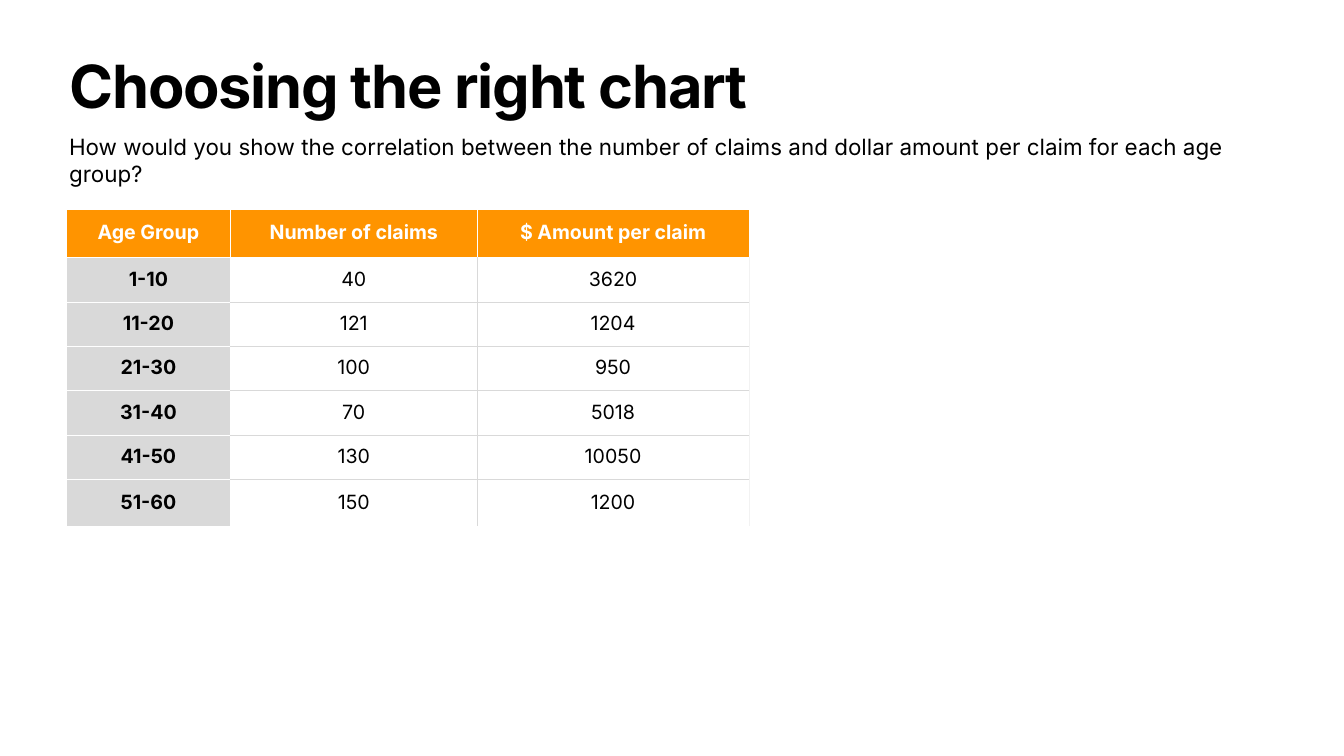
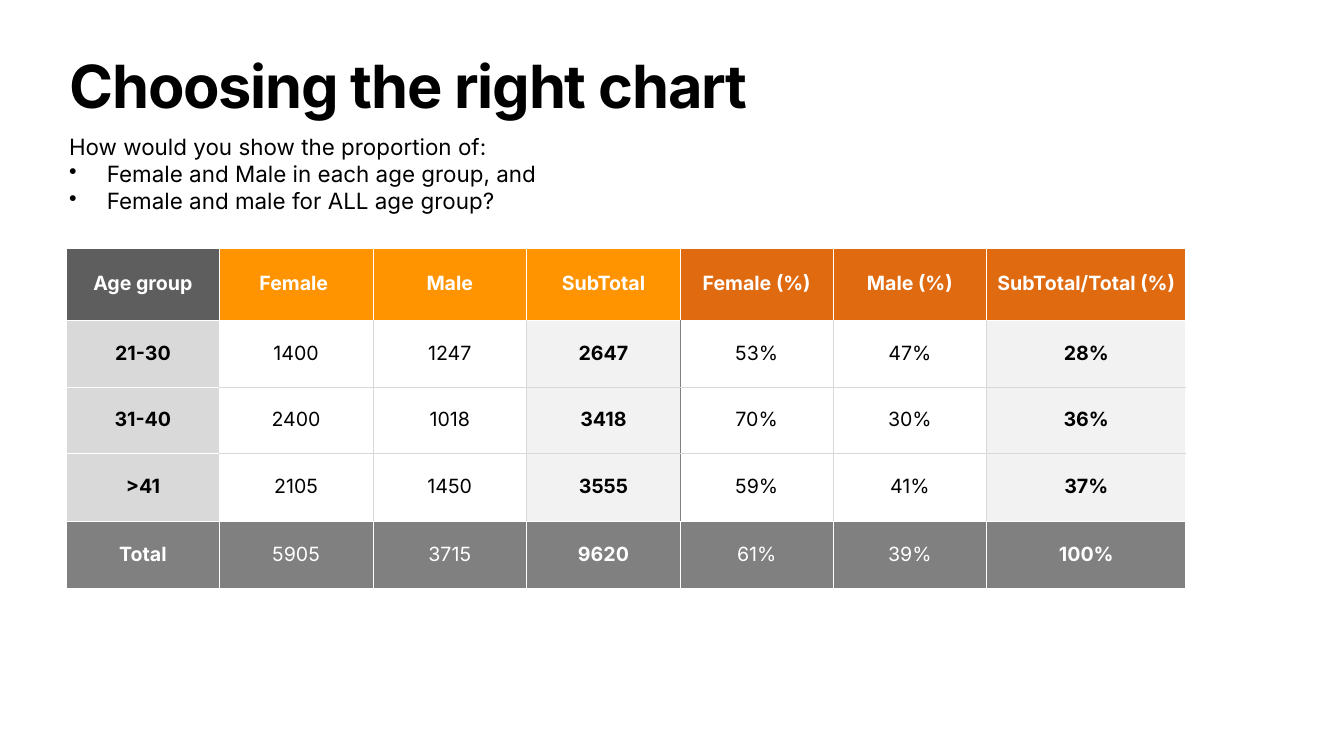
from dataclasses import dataclass

from lxml.etree import SubElement
from pptx import Presentation
from pptx.dml.color import RGBColor
from pptx.enum.text import MSO_ANCHOR, PP_ALIGN
from pptx.oxml.ns import qn
from pptx.util import Inches, Pt


@dataclass(frozen=True)
class Theme:
    """Colours and type sizes shared by the slides."""
    font: str = "Inter"
    black: str = "000000"
    white: str = "FFFFFF"
    orange: str = "FF9400"
    dark_orange: str = "DF6A10"
    charcoal: str = "5E5E5E"
    gray: str = "808080"
    light_gray: str = "D9D9D9"
    pale_gray: str = "F2F2F2"
    title_size: int = 85
    body_size: int = 32
    cell_size: int = 28


THEME = Theme()
LEFT, TEXT_WIDTH = 1.32, 24.03


@dataclass
class TableDesign:
    """What sets one table apart from another."""
    column_widths: list
    row_heights: list
    header_fills: list
    body_fill: str = None
    subtotal_columns: tuple = ()
    divider_column: int = None
    has_total: bool = False
    right_edge: str = THEME.white


def style_font(paragraph, size, color=THEME.black, bold=False):
    """Set the font of a whole paragraph."""
    font = paragraph.font
    font.name, font.size, font.bold = THEME.font, Pt(size), bold
    font.color.rgb = RGBColor.from_string(color)


def set_margins(target, margin):
    """Give a text frame or a cell the same margin on all sides."""
    target.margin_left = target.margin_right = Inches(margin)
    target.margin_top = target.margin_bottom = Inches(margin)


def add_text_frame(slide, box, margin):
    """Add a wrapping text box and return its text frame."""
    frame = slide.shapes.add_textbox(*map(Inches, box)).text_frame
    frame.word_wrap = True
    frame.vertical_anchor = MSO_ANCHOR.TOP
    set_margins(frame, margin)
    return frame


def add_title(slide, box, text):
    """Add the large, tightly spaced slide title."""
    paragraph = add_text_frame(slide, box, 0.06).paragraphs[0]
    paragraph.line_spacing = 0.8
    style_font(paragraph, THEME.title_size, bold=True)
    run = paragraph.add_run()
    run.text = text
    run.font._element.set("spc", "-170")


def add_question(slide, box, lead, bullets=()):
    """Add the question under the title, with any bullets."""
    frame = add_text_frame(slide, box, 0.05)
    frame.text = lead
    style_font(frame.paragraphs[0], THEME.body_size)
    for text in bullets:
        paragraph = frame.add_paragraph()
        paragraph.text = text
        properties = paragraph._p.get_or_add_pPr()
        properties.set("marL", str(Inches(0.75)))
        properties.set("indent", str(-Inches(0.75)))
        SubElement(properties, qn("a:buChar")).set("char", "•")
        style_font(paragraph, THEME.body_size)


def set_borders(cell, colors):
    """Draw one-point borders in the order left, right, top, bottom."""
    properties = cell._tc.get_or_add_tcPr()
    for side, color in zip("LRTB", colors):
        line = SubElement(properties, qn(f"a:ln{side}"), w=str(Pt(1)))
        fill = SubElement(line, qn("a:solidFill"))
        SubElement(fill, qn("a:srgbClr"), val=color)


def border_colors(row, column, last_body_row, design):
    """Work out a cell's borders from its place in the table."""
    if column == 0 or not 1 <= row <= last_body_row:
        return [THEME.white] * 4

    def vertical(edge):
        """Return the colour of the line left of column number edge."""
        if edge == 1:
            return THEME.white
        if edge == len(design.column_widths):
            return design.right_edge
        return THEME.gray if edge == design.divider_column else THEME.light_gray

    top = THEME.white if row == 1 else THEME.light_gray
    bottom = THEME.white if row == last_body_row else THEME.light_gray
    return [vertical(column), vertical(column + 1), top, bottom]


def cell_look(row, column, last_body_row, design):
    """Return fill, text colour and boldness for a cell."""
    strong = column == 0 or column in design.subtotal_columns
    if row == 0:
        return design.header_fills[column], THEME.white, True
    if row > last_body_row:
        return THEME.gray, THEME.white, strong
    if column == 0:
        return THEME.light_gray, THEME.black, True
    return (THEME.pale_gray if strong else design.body_fill), THEME.black, strong


def add_data_table(slide, left, top, rows, design):
    """Add a table with header row, label column and optional total row."""
    widths, heights = design.column_widths, design.row_heights
    table = slide.shapes.add_table(
        len(rows), len(widths), Inches(left), Inches(top),
        Inches(sum(widths)), Inches(sum(heights))).table
    table.horz_banding = False
    for column, width in zip(table.columns, widths):
        column.width = Inches(width)
    for row, height in zip(table.rows, heights):
        row.height = Inches(height)
    last_body_row = len(rows) - (2 if design.has_total else 1)
    for row, values in enumerate(rows):
        for column, value in enumerate(values):
            cell = table.cell(row, column)
            fill, color, bold = cell_look(row, column, last_body_row, design)
            set_borders(cell, border_colors(row, column, last_body_row, design))
            if fill:
                cell.fill.solid()
                cell.fill.fore_color.rgb = RGBColor.from_string(fill)
            else:
                cell.fill.background()
            cell.vertical_anchor = MSO_ANCHOR.MIDDLE
            set_margins(cell, 0.03)
            cell.text = value
            paragraph = cell.text_frame.paragraphs[0]
            paragraph.alignment = PP_ALIGN.CENTER
            paragraph.line_spacing = 0.9
            paragraph.space_before = Pt(45)
            style_font(paragraph, THEME.cell_size, color, bold)


def add_chart_question_slide(presentation, lead, bullets, question_height,
                             table_top, rows, design):
    """Add a slide with title, question and data table."""
    slide = presentation.slides.add_slide(presentation.slide_layouts[6])
    add_title(slide, (LEFT, 1.18, TEXT_WIDTH, 1.57), "Choosing the right chart")
    add_question(slide, (LEFT, 2.6, TEXT_WIDTH, question_height), lead, bullets)
    add_data_table(slide, LEFT, table_top, rows, design)


CLAIMS = [
    ("Age Group", "Number of claims", "$ Amount per claim"),
    ("1-10", "40", "3620"),
    ("11-20", "121", "1204"),
    ("21-30", "100", "950"),
    ("31-40", "70", "5018"),
    ("41-50", "130", "10050"),
    ("51-60", "150", "1200"),
]
CLAIMS_DESIGN = TableDesign(
    column_widths=[3.25, 4.9, 5.39],
    row_heights=[0.95] + [0.88] * 4 + [0.89, 0.92],
    header_fills=[THEME.orange] * 3,
    right_edge=THEME.pale_gray)

PROPORTIONS = [
    ("Age group", "Female\u00a0", "Male", "SubTotal",
     "Female (%)", "Male (%)", "SubTotal/Total (%)"),
    ("21-30", "1400", "1247", "2647", "53%", "47%", "28%"),
    ("31-40", "2400", "1018", "3418", "70%", "30%", "36%"),
    (">41", "2105", "1450", "3555", "59%", "41%", "37%"),
    ("Total", "5905", "3715", "9620", "61%", "39%", "100%"),
]
PROPORTIONS_DESIGN = TableDesign(
    column_widths=[3.03, 3.05, 3.05, 3.05, 3.03, 3.05, 3.95],
    row_heights=[1.44, 1.32, 1.32, 1.34, 1.34],
    header_fills=[THEME.charcoal] + [THEME.orange] * 3 + [THEME.dark_orange] * 3,
    body_fill=THEME.white,
    subtotal_columns=(3, 6),
    divider_column=4,
    has_total=True)


def main():
    """Build and save the presentation."""
    presentation = Presentation()
    presentation.slide_width = Inches(26.67)
    presentation.slide_height = Inches(15)
    add_chart_question_slide(
        presentation,
        "How would you show the correlation between the number of claims "
        "and dollar amount per claim for each age group?",
        (), 1.2, 4.16, CLAIMS, CLAIMS_DESIGN)
    add_chart_question_slide(
        presentation, "How would you show the proportion of:",
        ("Female and Male in each age group, and",
         "Female and male for ALL age group?"),
        2.81, 4.92, PROPORTIONS, PROPORTIONS_DESIGN)
    presentation.save("out.pptx")


main()
